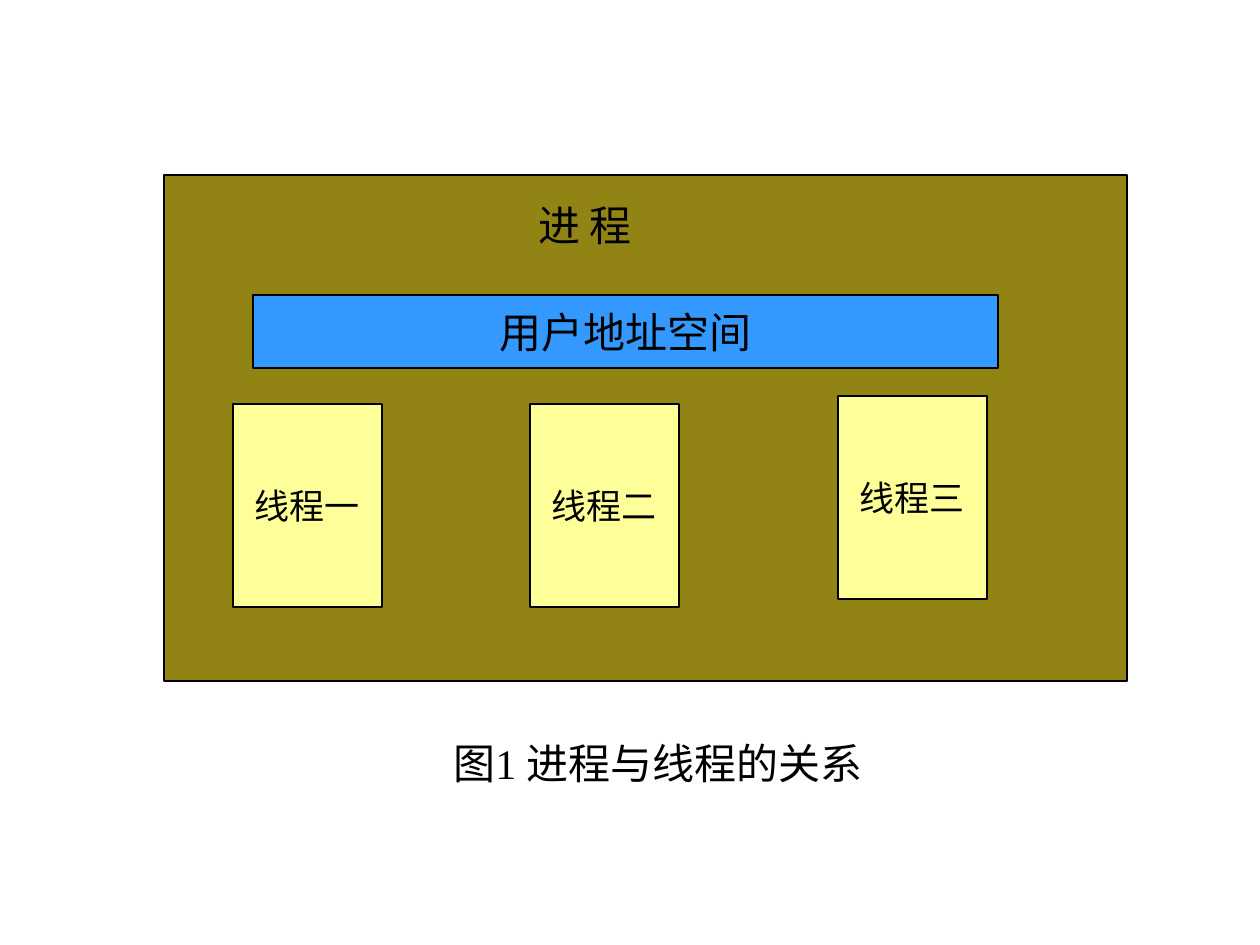
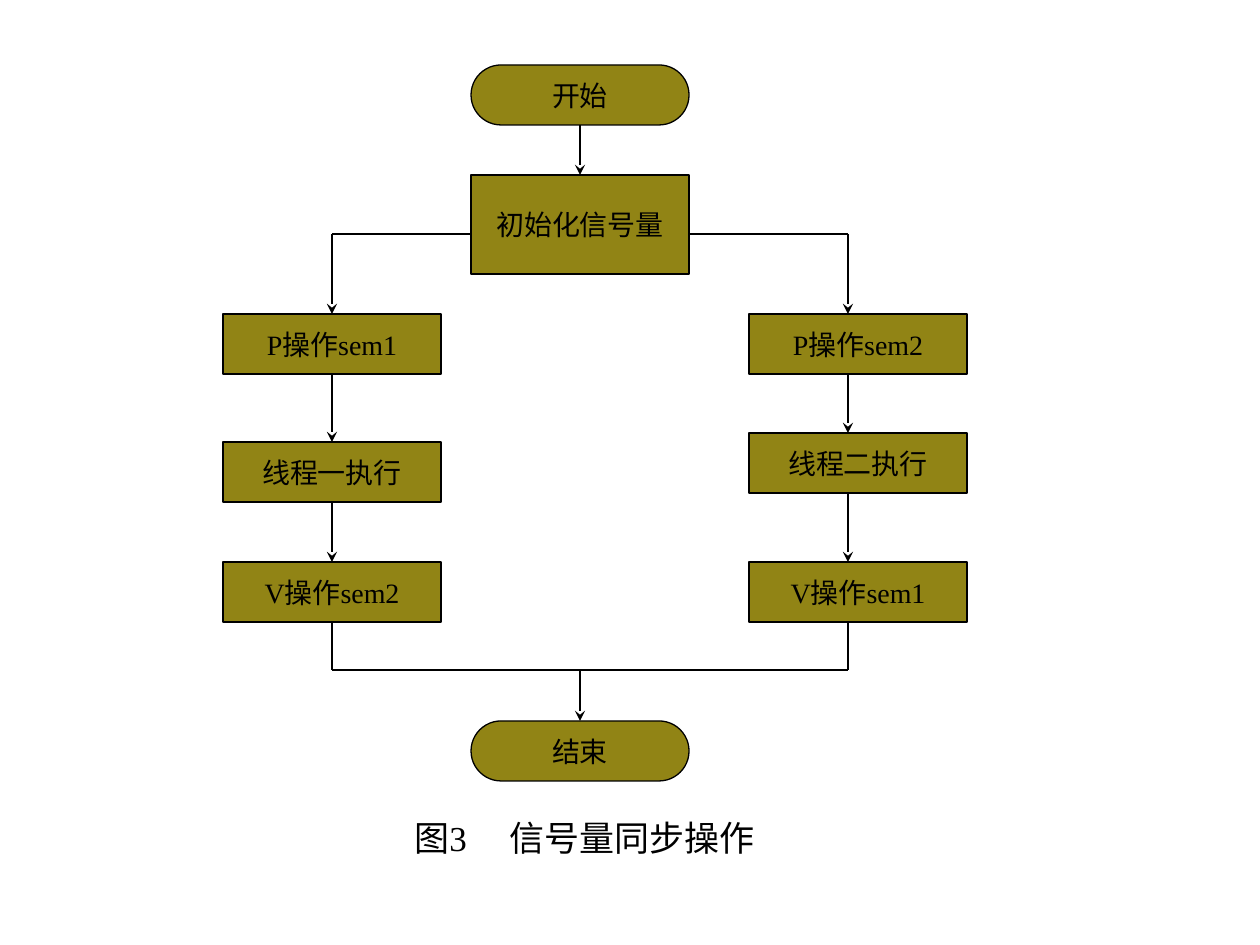
from dataclasses import dataclass

from lxml import etree
from pptx import Presentation
from pptx.dml.color import RGBColor
from pptx.enum.shapes import MSO_CONNECTOR, MSO_SHAPE
from pptx.enum.text import MSO_ANCHOR, PP_ALIGN
from pptx.oxml.ns import qn
from pptx.util import Pt

RECT = MSO_SHAPE.RECTANGLE
ROUND = MSO_SHAPE.ROUNDED_RECTANGLE
LINE = MSO_CONNECTOR.STRAIGHT
MIDDLE = MSO_ANCHOR.MIDDLE
LEFT, CENTER = PP_ALIGN.LEFT, PP_ALIGN.CENTER
TOP, BOTTOM = 0, 2


@dataclass(frozen=True)
class Theme:
    font: str = "Times New Roman"
    ink: RGBColor = RGBColor(0, 0, 0)
    olive: RGBColor = RGBColor(0x91, 0x84, 0x15)
    blue: RGBColor = RGBColor(0x33, 0x99, 0xFF)
    cream: RGBColor = RGBColor(0xFF, 0xFF, 0x99)
    large: int = 24
    mid: int = 20
    small: int = 16
    edge: float = 0.75
    wire: float = 1.25


THEME = Theme()


def px(n):
    """Turn pixels (126 to the inch) into EMU."""
    return round(n * 914400 / 126)


# Text and shapes
def write(frame, text, size, align, tab=None):
    par = frame.paragraphs[0]
    par.text = text
    par.alignment = align
    if tab:
        stops = etree.SubElement(par._p.get_or_add_pPr(), qn("a:tabLst"))
        etree.SubElement(stops, qn("a:tab"), pos=str(px(tab)), algn="l")
    par.font.name = THEME.font
    par.font.size = Pt(size)
    par.font.color.rgb = THEME.ink


def box(slide, x, y, w, h, fill, text="", size=THEME.small, kind=RECT):
    shape = slide.shapes.add_shape(kind, px(x), px(y), px(w), px(h))
    shape.shadow.inherit = False
    shape.fill.solid()
    shape.fill.fore_color.rgb = fill
    shape.line.color.rgb = THEME.ink
    shape.line.width = Pt(THEME.edge)
    if kind == ROUND:
        shape.adjustments[0] = 0.5
    if text:
        frame = shape.text_frame
        frame.word_wrap = False
        frame.vertical_anchor = MIDDLE
        write(frame, text, size, CENTER)
    return shape


def label(slide, x, y, w, h, text, size, align=LEFT, tab=None):
    frame = slide.shapes.add_textbox(px(x), px(y), px(w), px(h)).text_frame
    frame.word_wrap = True
    write(frame, text, size, align, tab)


# Lines; src and dst are the boxes joined below and above
def wire(slide, x1, y1, x2, y2, arrow=False, src=None, dst=None):
    line = slide.shapes.add_connector(LINE, px(x1), px(y1), px(x2), px(y2))
    etree.SubElement(line._element.spPr, qn("a:effectLst"))
    line.line.color.rgb = THEME.ink
    line.line.width = Pt(THEME.wire)
    if arrow:
        etree.SubElement(line.line._get_or_add_ln(), qn("a:tailEnd"), type="stealth")
    if src is not None:
        line.begin_connect(src, BOTTOM)
    if dst is not None:
        line.end_connect(dst, TOP)


# Slide 1: a process and its threads
def process(slide):
    box(slide, 164, 175, 963, 506, THEME.olive)
    box(slide, 253, 295, 745, 73, THEME.blue, "用户地址空间", THEME.large)
    threads = ((233, 404, "线程一"), (530, 404, "线程二"), (838, 396, "线程三"))
    for x, y, name in threads:
        box(slide, x, y, 149, 203, THEME.cream, name, THEME.mid)
    label(slide, 461, 193, 248, 63, "进 程", THEME.large, CENTER)
    label(slide, 441, 731, 446, 113, "图1 进程与线程的关系", THEME.large)


# Slide 2: two threads kept in step by semaphores
def branch(slide, x, axis, steps, fork, turn, join, glue):
    """Draw one thread's steps, fed from the fork and led to the join."""
    wide, high = 218, 60
    nodes = [box(slide, x, y, wide, high, THEME.olive, text) for y, text in steps]
    tops = [y for y, _ in steps]
    wire(slide, fork, turn, axis, turn)
    starts = [turn] + [y + high for y in tops]
    ends = tops + [join]
    sources, targets = [None] + nodes, nodes + [None]
    for start, end, src, dst in zip(starts, ends, sources, targets):
        joined = {"src": src, "dst": dst} if glue else {}
        wire(slide, axis, start, axis, end, arrow=dst is not None, **joined)


def flow(slide):
    x, wide, high = 471, 218, 60
    axis, turn, join = x + wide // 2, 234, 670
    first = box(slide, x, 65, wide, high, THEME.olive, "开始", kind=ROUND)
    init = box(slide, x, 175, wide, 99, THEME.olive, "初始化信号量")
    last = box(slide, x, 721, wide, high, THEME.olive, "结束", kind=ROUND)
    wire(slide, axis, 125, axis, 175, True, first, init)

    one = ((314, "P操作sem1"), (442, "线程一执行"), (562, "V操作sem2"))
    two = ((314, "P操作sem2"), (433, "线程二执行"), (562, "V操作sem1"))
    left, right = 332, 848
    branch(slide, 223, left, one, x, turn, join, glue=True)
    branch(slide, 749, right, two, x + wide, turn, join, glue=False)
    wire(slide, right, join, left, join)
    wire(slide, axis, join, axis, 721, True, dst=last)
    label(slide, 402, 810, 377, 55, "图3\t信号量同步操作", THEME.mid, tab=95)


def main():
    deck = Presentation()
    deck.slide_width, deck.slide_height = px(1260), px(945)
    blank = deck.slide_layouts[6]
    for draw in (process, flow):
        draw(deck.slides.add_slide(blank))
    deck.save("out.pptx")


if __name__ == "__main__":
    main()
